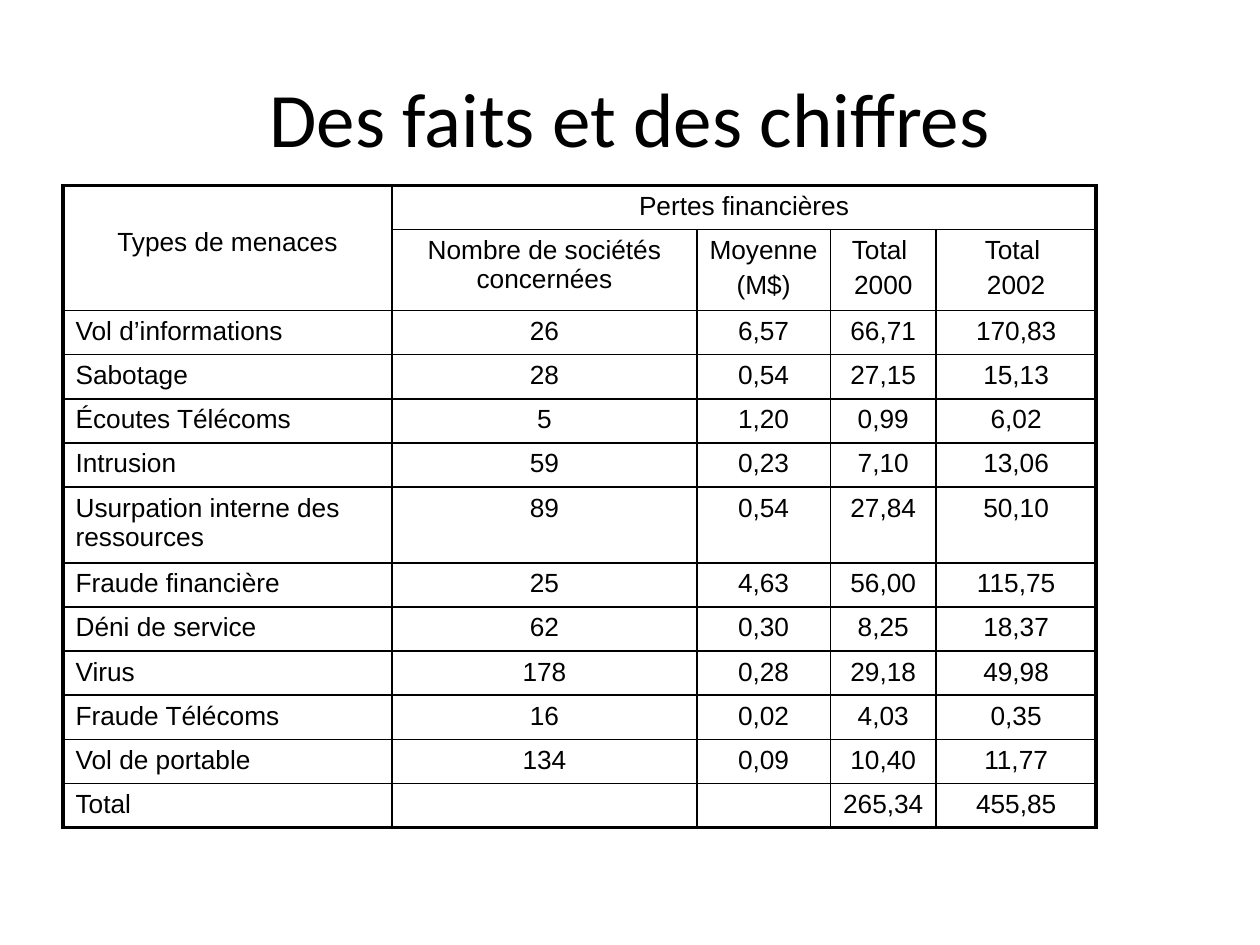
from lxml.etree import SubElement
from pptx import Presentation
from pptx.dml.color import RGBColor
from pptx.enum.text import MSO_ANCHOR, PP_ALIGN
from pptx.oxml.ns import qn
from pptx.util import Pt

BLACK = RGBColor(0x00, 0x00, 0x00)
WHITE = RGBColor(0xFF, 0xFF, 0xFF)
THIN, THICK = 1, 2.25

COLUMN_WIDTHS = [188, 174.2, 76.3, 60.5, 91.4]
ROW_HEIGHT = 25.2
SPECIAL_HEIGHTS = {1: 46, 6: 42.3, 12: 23.8}

ROWS = [
    ["Types de menaces", "Pertes financières", "", "", ""],
    ["", "Nombre de sociétés concernées", "Moyenne\n(M$)", "Total \n2000", "Total \n2002"],
    ["Vol d’informations", "26", "6,57", "66,71", "170,83"],
    ["Sabotage", "28", "0,54", "27,15", "15,13"],
    ["Écoutes Télécoms", "5", "1,20", "0,99", "6,02"],
    ["Intrusion", "59", "0,23", "7,10", "13,06"],
    ["Usurpation interne des ressources", "89", "0,54", "27,84", "50,10"],
    ["Fraude financière", "25", "4,63", "56,00", "115,75"],
    ["Déni de service", "62", "0,30", "8,25", "18,37"],
    ["Virus", "178", "0,28", "29,18", "49,98"],
    ["Fraude Télécoms", "16", "0,02", "4,03", "0,35"],
    ["Vol de portable", "134", "0,09", "10,40", "11,77"],
    ["Total", "", "", "265,34", "455,85"],
]


class SlideBuilder:
    title_font, title_size = "Calibri", 44
    table_font, table_size = "Arial", 15
    paragraph_gap = 3

    def __init__(self, slide):
        self.slide = slide

    def format_text(self, text_frame, font, size, alignment, gap=0):
        for paragraph in text_frame.paragraphs:
            paragraph.alignment = alignment
            paragraph.space_before = Pt(gap)
            for run in paragraph.runs:
                run.font.name = font
                run.font.size = Pt(size)
                run.font.color.rgb = BLACK
            if not paragraph.runs:
                # An empty cell keeps the height of the table text
                SubElement(paragraph._p, qn("a:endParaRPr"), sz=str(size * 100))

    def add_title(self, text, left, top, width, height):
        shape = self.slide.shapes.add_textbox(Pt(left), Pt(top), Pt(width), Pt(height))
        text_frame = shape.text_frame
        text_frame.word_wrap = True
        text_frame.vertical_anchor = MSO_ANCHOR.MIDDLE
        text_frame.text = text
        self.format_text(text_frame, self.title_font, self.title_size, PP_ALIGN.CENTER)

    def add_borders(self, cell, widths):
        properties = cell._tc.get_or_add_tcPr()
        for side, width in zip("LRTB", widths):
            line = SubElement(properties, qn(f"a:ln{side}"), w=str(Pt(width)))
            fill = SubElement(line, qn("a:solidFill"))
            SubElement(fill, qn("a:srgbClr"), val=str(BLACK))

    def add_table(self, rows, left, top, column_widths, row_heights, merges):
        last_row, last_column = len(rows) - 1, len(column_widths) - 1
        frame = self.slide.shapes.add_table(
            len(rows), len(column_widths), Pt(left), Pt(top),
            Pt(sum(column_widths)), Pt(sum(row_heights)))
        table = frame.table
        table.first_row = table.horz_banding = False
        for column, width in zip(table.columns, column_widths):
            column.width = Pt(width)
        for row, height in zip(table.rows, row_heights):
            row.height = Pt(height)
        for first, last in merges:
            table.cell(*first).merge(table.cell(*last))

        for row, texts in enumerate(rows):
            for column, text in enumerate(texts):
                cell = table.cell(row, column)
                cell.text_frame.text = text
                is_label = column == 0 and row > 1
                self.format_text(cell.text_frame, self.table_font, self.table_size,
                                 PP_ALIGN.LEFT if is_label else PP_ALIGN.CENTER,
                                 self.paragraph_gap)
                # Thick lines on the outer edge, thin lines inside
                right = column + (cell.span_width - 1 if cell.is_merge_origin else 0)
                outer = (column == 0, right == last_column, row == 0, row == last_row)
                if not cell.is_spanned:
                    self.add_borders(cell, [THICK if edge else THIN for edge in outer])
                cell.fill.solid()
                cell.fill.fore_color.rgb = WHITE
        return table


def main():
    presentation = Presentation()
    presentation.slide_width, presentation.slide_height = Pt(720), Pt(540)
    builder = SlideBuilder(presentation.slides.add_slide(presentation.slide_layouts[6]))

    # Title
    builder.add_title("Des faits et des chiffres", 36, 21.6, 648, 90)

    # Threats and losses
    heights = [SPECIAL_HEIGHTS.get(row, ROW_HEIGHT) for row in range(len(ROWS))]
    table = builder.add_table(ROWS, 36, 106, COLUMN_WIDTHS, heights,
                              merges=[((0, 0), (1, 0)), ((0, 1), (0, 4))])
    table.cell(0, 0).margin_top = Pt(24)

    presentation.save("out.pptx")


if __name__ == "__main__":
    main()
